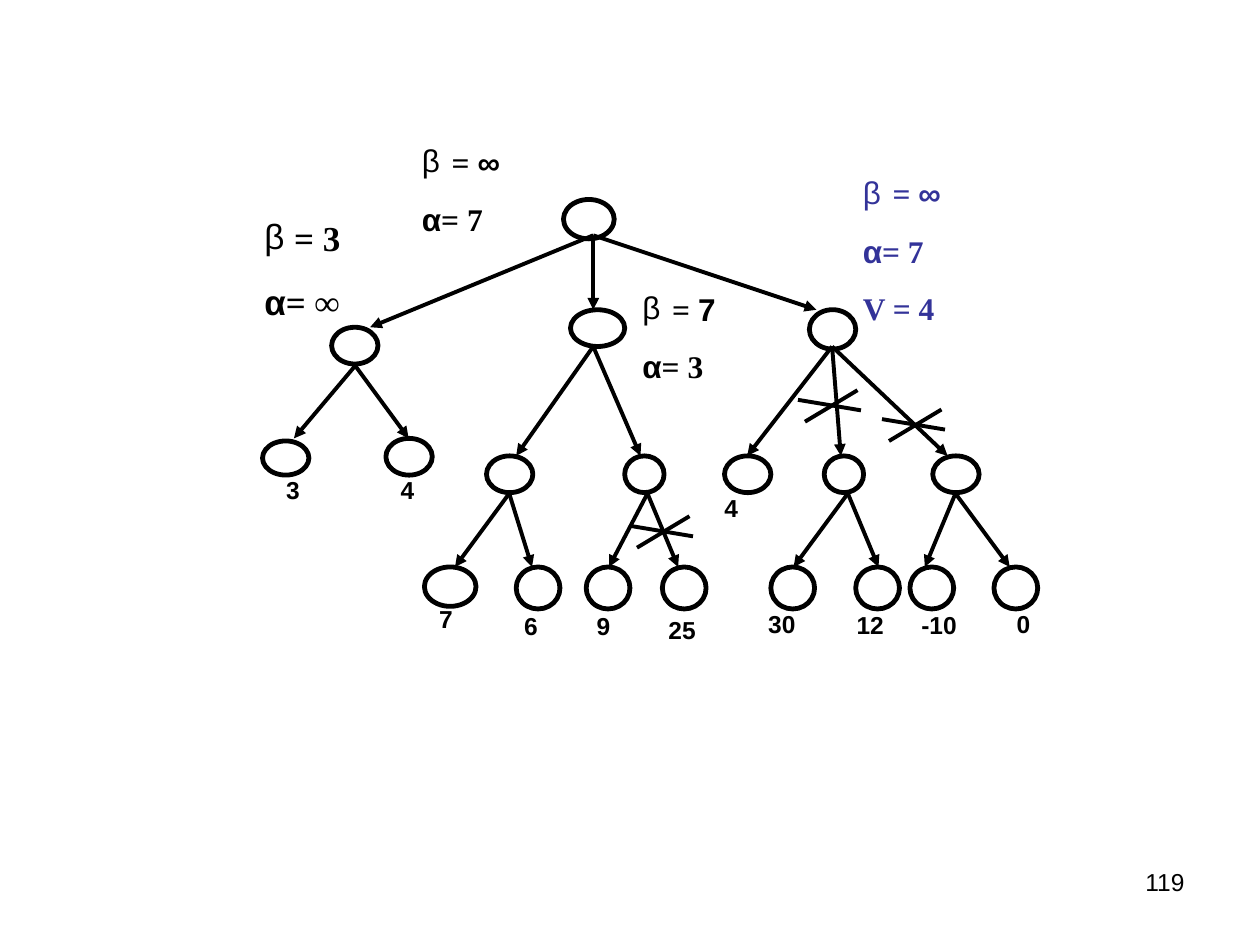
from dataclasses import dataclass

from lxml.etree import SubElement
from pptx import Presentation
from pptx.dml.color import RGBColor
from pptx.enum.shapes import MSO_CONNECTOR, MSO_SHAPE
from pptx.enum.text import MSO_AUTO_SIZE, PP_ALIGN
from pptx.oxml.ns import qn
from pptx.util import Pt

SANS = "Arial"
SERIF = "Times New Roman"
BLACK = "000000"
WHITE = "FFFFFF"
BLUE = "333399"

Point = tuple[float, float]
Line = list[tuple[str, str]]


@dataclass
class Node:
    x: float
    y: float
    w: float = 26.5
    h: float = 21
    solid: bool = True


@dataclass
class Fan:
    start: Point
    ends: list[Point]


@dataclass
class Leaf:
    text: str
    x: float
    y: float


@dataclass
class Bound:
    x: float
    y: float
    w: float
    h: float
    size: float
    gap: float
    lines: list[Line]
    color: str = BLACK


NODES = [
    Node(322, 114, 29, 22.5),
    Node(326, 177, 31, solid=False),
    Node(189.5, 187),
    Node(462.5, 177, h=22.5, solid=False),
    Node(150, 252, h=19.5),
    Node(220.5, 250.5),
    *(Node(x, 260.5) for x in (278, 414, 533)),
    *(Node(x, 260.5, 22.5) for x in (357, 471)),
    Node(242.5, 324, 29.5, 22.5),
    *(Node(x, 324, 25, 24) for x in (295, 335, 378.5, 440.5, 489, 520, 568)),
]

FANS = [
    Fan((339, 134.5), [(211.5, 187), (466.5, 177)]),
    Fan((339, 137), [(339, 177)]),
    Fan((339, 198), [(295, 260.5), (366, 260.5)]),
    Fan((203, 209), [(233.5, 250.5), (168, 250.5)]),
    Fan((475.5, 198), [(427, 260.5), (541.5, 260.5), (480.5, 260.5)]),
    Fan((291, 282), [(260, 324), (304, 324)]),
    Fan((370, 282), [(348, 324), (387.5, 324)]),
    Fan((484.5, 282), [(453.5, 324), (502, 324)]),
    Fan((546, 282), [(528.5, 324), (577, 324)]),
]

LEAVES = [
    Leaf("3", 163.5, 271.5),
    Leaf("4", 229, 271.5),
    Leaf("4", 414, 282),
    Leaf("7", 251, 345),
    Leaf("6", 299.5, 349),
    Leaf("9", 341, 349),
    Leaf("25", 382, 351.5),
    Leaf("30", 439, 348),
    Leaf("12", 489.5, 348.5),
    Leaf("-10", 526.5, 348.5),
    Leaf("0", 581, 348),
]

BOUNDS = [
    Bound(144, 120, 72, 67.5, 20, 12.5,
          [[("= 3", SERIF)], [("α", SANS), ("= ∞", SERIF)]]),
    Bound(234, 78, 240, 62, 18, 11.2,
          [[("= ", SERIF), ("∞", SANS)], [("α", SANS), ("= 7", SERIF)]]),
    Bound(360, 162, 126, 62, 18, 11.2,
          [[("= ", SERIF), ("7", SANS)], [("α", SANS), ("= 3", SERIF)]]),
    Bound(486, 96, 102, 95, 18, 11.2,
          [[("= ", SERIF), ("∞", SANS)], [("α", SANS), ("= 7", SERIF)],
           [("V = 4", SERIF)]], BLUE),
]

CUTS = [(360, 295), (504, 234), (456, 223)]


def paint(target, color: str) -> None:
    target.rgb = RGBColor.from_string(color)


def add_bullet(para, mark: str, color: str) -> None:
    props = para._p.get_or_add_pPr()
    props.set("marL", str(Pt(17)))
    props.set("indent", str(-Pt(17)))
    tint = SubElement(props, qn("a:buClr"))
    SubElement(tint, qn("a:srgbClr"), val=color)
    SubElement(props, qn("a:buFont"), typeface=SANS)
    SubElement(props, qn("a:buChar"), char=mark)


def add_text(slide, lines: list[Line], x: float, y: float, w: float, h: float,
             *, size: float = 14, color: str = BLACK, bold: bool = True,
             inset: Point = (0, 0), gap: float = 0, mark: str = "",
             align=PP_ALIGN.LEFT, grow: bool = False) -> None:
    frame = slide.shapes.add_textbox(Pt(x), Pt(y), Pt(w), Pt(h)).text_frame
    frame.word_wrap = True
    frame.auto_size = (MSO_AUTO_SIZE.SHAPE_TO_FIT_TEXT if grow
                       else MSO_AUTO_SIZE.NONE)
    frame.margin_left = frame.margin_right = Pt(inset[0])
    frame.margin_top = frame.margin_bottom = Pt(inset[1])
    for i, line in enumerate(lines):
        para = frame.add_paragraph() if i else frame.paragraphs[0]
        para.alignment = align
        if i:
            para.space_before = Pt(gap)
        elif mark:
            add_bullet(para, mark, color)
        for text, face in line:
            run = para.add_run()
            run.text = text
            run.font.name = face
            run.font.size = Pt(size)
            run.font.bold = bold
            paint(run.font.color, color)


def add_node(slide, node: Node) -> None:
    shape = slide.shapes.add_shape(MSO_SHAPE.OVAL, Pt(node.x), Pt(node.y),
                                   Pt(node.w), Pt(node.h))
    shape.shadow.inherit = False
    if node.solid:
        shape.fill.solid()
        paint(shape.fill.fore_color, WHITE)
    else:
        shape.fill.background()
    paint(shape.line.color, BLACK)
    shape.line.width = Pt(2.75)


def add_line(slide, start: Point, end: Point, arrow: bool = False) -> None:
    line = slide.shapes.add_connector(MSO_CONNECTOR.STRAIGHT,
                                      *map(Pt, start), *map(Pt, end))
    paint(line.line.color, BLACK)
    line.line.width = Pt(2.25)
    if arrow:
        SubElement(line.line._get_or_add_ln(), qn("a:tailEnd"), type="triangle")
    SubElement(line._element.spPr, qn("a:effectLst"))


def add_cut(slide, x: float, y: float) -> None:
    add_line(slide, (x + 34, y), (x + 4, y + 18))
    add_line(slide, (x, y + 5.5), (x + 36, y + 11.5))


def main() -> None:
    deck = Presentation()
    deck.slide_width, deck.slide_height = Pt(720), Pt(540)
    slide = deck.slides.add_slide(deck.slide_layouts[6])
    add_text(slide, [[("119", SANS)]], 516, 492, 168, 37.5, bold=False,
             inset=(7.2, 3.6), align=PP_ALIGN.RIGHT)
    for node in NODES:
        add_node(slide, node)
    for fan in FANS:
        for end in fan.ends:
            add_line(slide, fan.start, end, arrow=True)
    for leaf in LEAVES:
        add_text(slide, [[(leaf.text, SANS)]], leaf.x, leaf.y, 31, 21)
    for b in BOUNDS:
        add_text(slide, b.lines, b.x, b.y, b.w, b.h, size=b.size,
                 color=b.color, inset=(7.2, 3.6), gap=b.gap, mark="β",
                 grow=True)
    for x, y in CUTS:
        add_cut(slide, x, y)
    deck.save("out.pptx")


if __name__ == "__main__":
    main()
